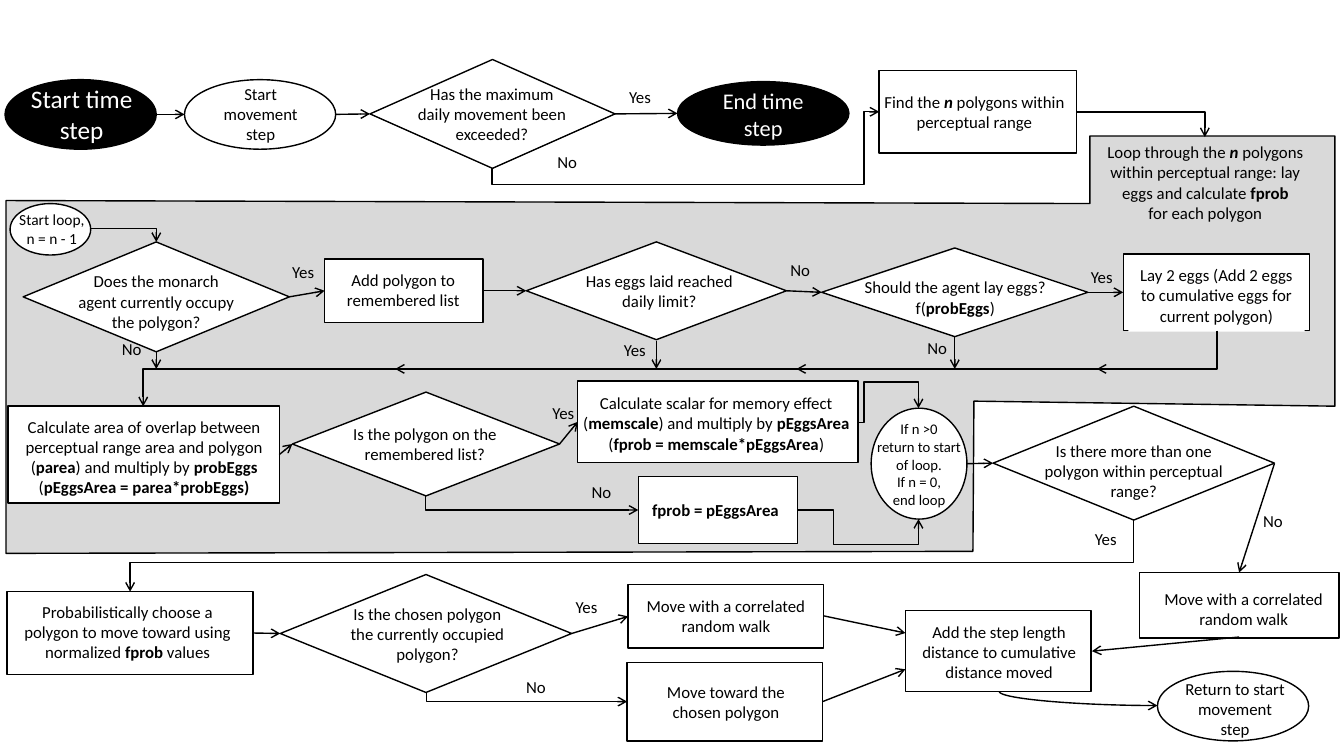
from dataclasses import dataclass

from lxml.etree import SubElement
from pptx import Presentation
from pptx.dml.color import RGBColor
from pptx.enum.shapes import MSO_CONNECTOR as Line, MSO_SHAPE as Preset
from pptx.enum.text import MSO_AUTO_SIZE as AutoSize, PP_ALIGN as Align
from pptx.oxml.ns import qn
from pptx.util import Inches, Pt

Point = tuple[float, float]
Box = tuple[float, float, float, float]


@dataclass(frozen=True)
class Theme:
    font: str = "Calibri"
    ink: RGBColor = RGBColor(0, 0, 0)
    paper: RGBColor = RGBColor(255, 255, 255)
    loop_area: RGBColor = RGBColor(0xD9, 0xD9, 0xD9)
    stroke: float = 1
    body: float = 12
    start: float = 18
    end: float = 16
    loop_start: float = 11
    loop_end: float = 10.5


THEME = Theme()
OVAL, BOX, DECISION = Preset.OVAL, Preset.RECTANGLE, Preset.FLOWCHART_DECISION


@dataclass(frozen=True)
class Step:
    """A flowchart step; ** switches bold, a leading _ adds italic."""
    outline: Preset
    at: Box
    text_at: Box
    text: str
    size: float = THEME.body
    fill: RGBColor | None = THEME.paper
    wrap: bool = True
    align: Align = Align.CENTER
    text_fill: RGBColor | None = None


@dataclass(frozen=True)
class Elbow:
    start: Point
    end: Point
    vertical_first: bool = True
    turns: tuple[float, ...] = ()
    kind: str = "bentConnector"


STEPS = {
    # Time step and movement
    "start": Step(OVAL, (.05, .79, 1.5, .69), (.2, .78, 1.22, .71), "Start time\nstep",
                  THEME.start, THEME.ink, wrap=False),
    "movement": Step(OVAL, (1.83, .79, 1.5, .69), (1.98, .78, 1.21, .71), "Start\nmovement\nstep"),
    "exceeded": Step(DECISION, (3.67, .59, 2.43, 1.08), (4.03, .78, 1.7, .7),
                     "Has the maximum daily movement been exceeded?"),
    "end": Step(OVAL, (6.72, .81, 1.7, .63), (6.83, .82, 1.48, .64), "End time\nstep",
                THEME.end, THEME.ink),
    "find": Step(BOX, (8.72, .7, 1.96, .82), (8.63, .86, 2.07, .5),
                 "Find the **_n** polygons within perceptual range"),
    # Egg laying
    "loop_start": Step(OVAL, (.1, 2.02, .8, .51), (.08, 2.04, .87, .47),
                       "Start loop, n = n - 1", THEME.loop_start),
    "occupy": Step(DECISION, (.23, 2.4, 2.64, 1.09), (.65, 2.64, 1.8, .71),
                   "Does the monarch agent currently occupy the polygon?"),
    "remember": Step(BOX, (3.22, 2.57, 1.57, .63), (3.17, 2.63, 1.66, .5),
                     "Add polygon to remembered list"),
    "limit": Step(DECISION, (5.22, 2.4, 2.58, .97), (5.62, 2.64, 1.84, .5),
                  "Has eggs laid reached daily limit?"),
    "should_lay": Step(DECISION, (8.15, 2.46, 2.64, .88), (8.34, 2.7, 2.27, .5),
                       "Should the agent lay eggs?\nf(**probEggs**)"),
    "lay": Step(BOX, (11.14, 2.52, 1.85, .76), (11.19, 2.58, 1.75, .71),
                "Lay 2 eggs (Add 2 eggs to cumulative eggs for current polygon)",
                text_fill=THEME.paper),
    # Polygon probability
    "overlap": Step(BOX, (.08, 4.03, 2.69, .96), (.04, 4.08, 2.78, .91),
                    "Calculate area of overlap between perceptual range area and polygon "
                    "(**parea**) and multiply by **probEggs** (**pEggsArea = parea*probEggs)**"),
    "remembered": Step(DECISION, (2.9, 3.89, 2.65, 1.03), (3.06, 4.15, 2.31, .5),
                       "Is the polygon on the remembered list?"),
    "scalar": Step(BOX, (5.73, 3.78, 2.78, .81), (5.67, 3.85, 2.87, .71),
                   "Calculate scalar for memory effect (**memscale**) and multiply by "
                   "**pEggsArea** (**fprob = memscale*pEggsArea**)"),
    "fprob": Step(BOX, (6.33, 4.73, 1.58, .66), (6.37, 4.91, 1.5, .3),
                  "**fprob = pEggsArea**", align=Align.LEFT, text_fill=THEME.paper),
    "loop_end": Step(OVAL, (8.64, 4.05, .95, 1.1), (8.59, 4.12, 1.05, .98),
                     "If n >0\nreturn to start\nof loop.\nIf n = 0,\nend loop",
                     THEME.loop_end, wrap=False),
    # Movement choice
    "several": Step(DECISION, (9.85, 4.03, 2.79, 1.13), (10.25, 4.32, 1.99, .71),
                    "Is there more than one polygon within perceptual range?"),
    "single_walk": Step(BOX, (11.3, 5.68, 1.98, .65), (11.38, 5.79, 1.91, .5),
                        "Move with a correlated random walk"),
    "choose": Step(BOX, (.07, 5.87, 2.44, .82), (.08, 5.92, 2.37, .71),
                   "Probabilistically choose a polygon to move toward using normalized **fprob** values"),
    "chosen": Step(DECISION, (2.78, 5.7, 2.89, 1.17), (3.32, 5.94, 1.84, .71),
                   "Is the chosen polygon the currently occupied polygon?"),
    "walk": Step(BOX, (6.23, 5.8, 1.94, .63), (6.21, 5.86, 1.98, .5),
                 "Move with a correlated random walk"),
    "toward": Step(BOX, (6.22, 6.57, 1.94, .78), (6.16, 6.71, 2.08, .5),
                   "Move toward the\nchosen polygon"),
    "add_length": Step(BOX, (8.98, 6.06, 1.84, .8), (8.87, 6.12, 2.08, .71),
                       "Add the step length distance to cumulative distance moved"),
    "return": Step(OVAL, (11.48, 6.66, 1.5, .69), (11.63, 6.68, 1.24, .71),
                   "Return to start\nmovement\nstep", wrap=False),
}

# Steps joined from right side to left side
ROWS = [("start", "movement", "exceeded", "end"),
        ("occupy", "remember", "limit", "should_lay", "lay"),
        ("overlap", "remembered", "scalar"), ("loop_end", "several"),
        ("choose", "chosen", "walk")]
MERGE_Y = 3.66
ARROWS: list[tuple[Point, Point]] = [
    ((8.17, 6.11), (8.98, 6.28)), ((8.16, 6.96), (8.98, 6.64)),
    ((12.64, 4.6), (12.29, 5.68)), ((12.29, 6.32), (10.83, 6.46)),
    ((1.55, 3.49), (1.55, MERGE_Y)), ((6.51, 3.38), (6.51, MERGE_Y)),
    ((9.47, 3.34), (9.47, MERGE_Y)), ((11.03, MERGE_Y), (10.88, MERGE_Y)),
    ((8.06, MERGE_Y), (7.9, MERGE_Y)), ((4.03, MERGE_Y), (3.92, MERGE_Y))]
ELBOWS = [
    Elbow((4.88, 1.67), (8.72, 1.11), turns=(1.83, 8.57)),
    Elbow((10.68, 1.11), (11.95, 1.36), vertical_first=False),
    Elbow((.9, 2.27), (1.55, 2.4), vertical_first=False),
    Elbow((12.07, 3.28), (1.42, 4.03), turns=(MERGE_Y,)),
    Elbow((4.22, 4.92), (6.33, 5.06)),
    Elbow((8.51, 4.19), (9.11, 4.05), False, (8.57, 3.79)),
    Elbow((7.91, 5.06), (9.11, 5.15), False, (8.27, 5.4)),
    Elbow((11.24, 5.16), (1.29, 5.87), turns=(5.58,)),
    Elbow((4.23, 6.87), (6.22, 6.96)),
    Elbow((9.91, 6.86), (11.48, 7), kind="curvedConnector")]
ANSWERS = {
    "Yes": [(6.14, .81), (5.38, 3.95), (10.72, 2.6), (6.09, 3.32), (2.8, 2.55), (5.61, 5.87), (10.76, 5.2)],
    "No": [(9.1, 3.3), (7.74, 2.53), (1.11, 3.31), (5.43, 1.46), (5.12, 6.66), (5.77, 4.73), (12.43, 5.02)]}
LOOP_OUTLINE: list[Point] = [(13.24, 1.35), (10.81, 1.35), (10.81, 2.02), (.06, 1.99), (.06, 5.49),
                             (9.65, 5.47), (9.66, 3.98), (13.24, 4.03)]


def paint(shape, fill: RGBColor | None) -> None:
    shape.shadow.inherit = False
    if fill is None:
        shape.fill.background()
    else:
        shape.fill.solid()
        shape.fill.fore_color.rgb = fill
    shape.line.color.rgb = THEME.ink
    shape.line.width = Pt(THEME.stroke)


def add_text(shapes, at: Box, text: str, size: float = THEME.body, color: RGBColor = THEME.ink,
             wrap: bool = True, align: Align = Align.CENTER, fill: RGBColor | None = None) -> None:
    box = shapes.add_textbox(*map(Inches, at))
    if fill is not None:
        box.fill.solid()
        box.fill.fore_color.rgb = fill
    frame = box.text_frame
    frame.word_wrap, frame.auto_size = wrap, AutoSize.SHAPE_TO_FIT_TEXT
    for row, line in enumerate(text.split("\n")):
        paragraph = frame.add_paragraph() if row else frame.paragraphs[0]
        paragraph.alignment = align
        for index, part in enumerate(line.split("**")):
            if not part:
                continue
            run = paragraph.add_run()
            run.text = part.removeprefix("_")
            run.font.color.rgb = color
            formats = {"name": THEME.font, "size": Pt(size), "bold": index % 2 == 1,
                       "italic": part.startswith("_")}
            for attribute, value in formats.items():
                setattr(run.font, attribute, value)


def add_step(shapes, step: Step):
    group = shapes.add_group_shape().shapes
    outline = group.add_shape(step.outline, *map(Inches, step.at))
    paint(outline, step.fill)
    color = THEME.paper if step.fill == THEME.ink else THEME.ink
    add_text(group, step.text_at, step.text, step.size, color, step.wrap, step.align, step.text_fill)
    return outline


def add_arrow(shapes, start: Point, end: Point, kind: Line = Line.STRAIGHT):
    arrow = shapes.add_connector(kind, *map(Inches, (*start, *end)))
    arrow.line.color.rgb = THEME.ink
    arrow.line.width = Pt(THEME.stroke)
    SubElement(arrow.line._get_or_add_ln(), qn("a:tailEnd"), type="arrow")
    SubElement(arrow._element.spPr, qn("a:effectLst"))
    return arrow


def add_elbow(shapes, elbow: Elbow) -> None:
    arrow = add_arrow(shapes, elbow.start, elbow.end, Line.ELBOW)
    properties = arrow._element.spPr
    deltas = [b - a for a, b in zip(elbow.start, elbow.end)]
    if elbow.vertical_first:
        # A turned frame swaps width and height about the same centre
        width, height = arrow.width, arrow.height
        arrow.left += (width - height) // 2
        arrow.top += (height - width) // 2
        arrow.width, arrow.height = height, width
        right, down = deltas[0] > 0, deltas[1] > 0
        quarter, flip_h, flip_v = (3, True, False) if right and down else (1, not down, right)
        frame = properties.find(qn("a:xfrm"))
        for key, value in {"rot": quarter * 5400000, "flipH": int(flip_h), "flipV": int(flip_v)}.items():
            frame.set(key, str(value))
    geometry = properties.find(qn("a:prstGeom"))
    geometry.set("prst", f"{elbow.kind}{len(elbow.turns) + 2}")
    guides = geometry.find(qn("a:avLst"))
    for index, turn in enumerate(elbow.turns):
        axis = (index + elbow.vertical_first) % 2
        ratio = (turn - elbow.start[axis]) / deltas[axis]
        SubElement(guides, qn("a:gd"), name=f"adj{index + 1}", fmla=f"val {round(ratio * 100000)}")


def main() -> None:
    deck = Presentation()
    deck.slide_width, deck.slide_height = Inches(13.33), Inches(7.5)
    shapes = deck.slides.add_slide(deck.slide_layouts[6]).shapes

    # Shaded loop area and its caption
    corners = [(Inches(x), Inches(y)) for x, y in LOOP_OUTLINE]
    builder = shapes.build_freeform(*corners[0])
    builder.add_line_segments(corners[1:], close=True)
    paint(builder.convert_to_shape(), THEME.loop_area)
    add_text(shapes, (10.82, 1.36, 2.27, .91),
             "Loop through the **_n** polygons within perceptual range: lay eggs and calculate "
             "**fprob**\nfor each polygon")

    # Steps, arrows and answers
    outlines = {key: add_step(shapes, step) for key, step in STEPS.items()}
    for row in ROWS:
        for source, target in zip(row, row[1:]):
            (x1, y1, w1, h1), (x2, y2, _, h2) = STEPS[source].at, STEPS[target].at
            arrow = add_arrow(shapes, (x1 + w1, y1 + h1 / 2), (x2, y2 + h2 / 2))
            if OVAL not in (STEPS[source].outline, STEPS[target].outline):
                arrow.begin_connect(outlines[source], 3)
                arrow.end_connect(outlines[target], 1)
    for start, end in ARROWS:
        add_arrow(shapes, start, end)
    for elbow in ELBOWS:
        add_elbow(shapes, elbow)
    for answer, places in ANSWERS.items():
        for x, y in places:
            add_text(shapes, (x, y, .42 if answer == "Yes" else .4, .3), answer, wrap=False, align=Align.LEFT)
    deck.save("out.pptx")


if __name__ == "__main__":
    main()
